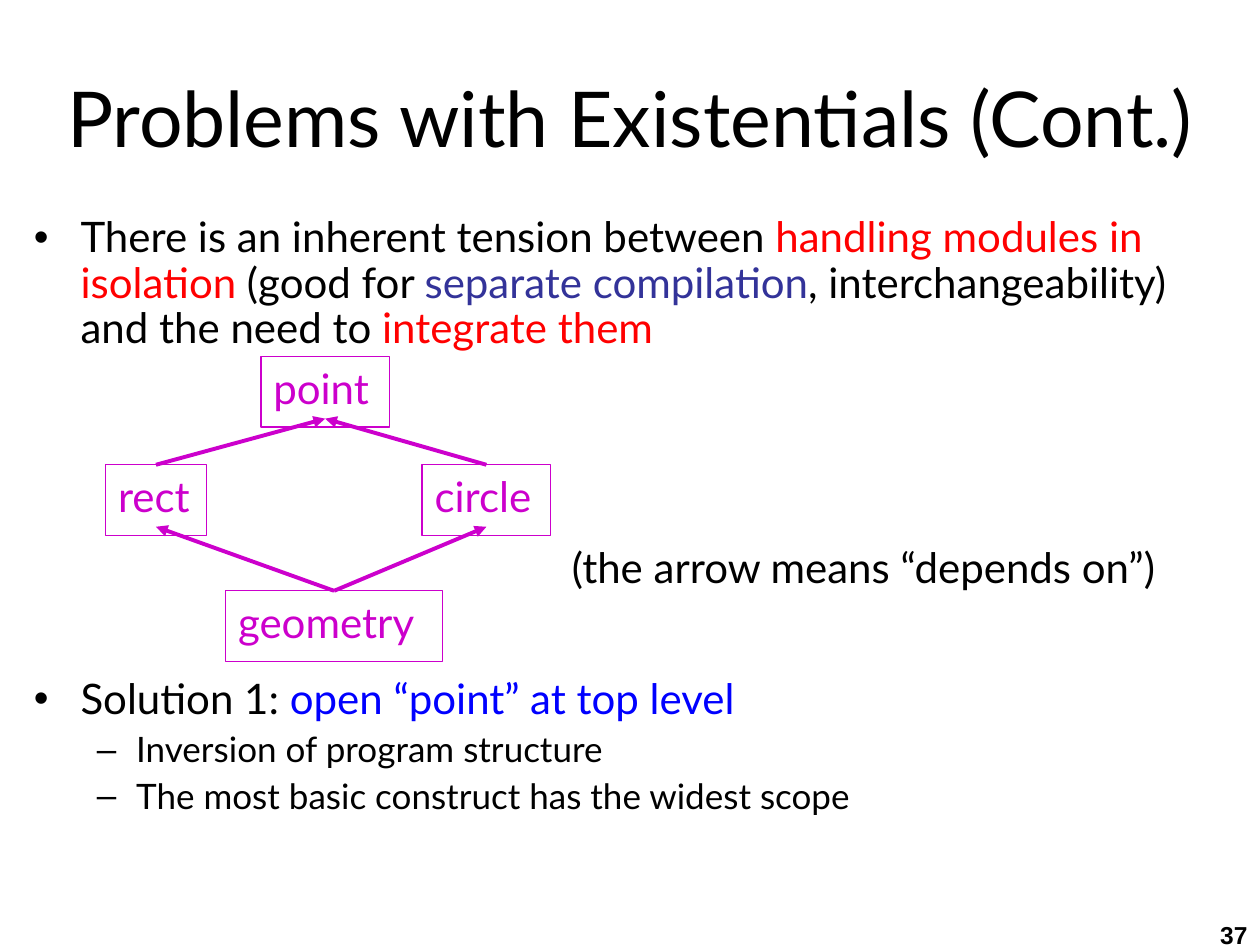
from lxml import etree
from pptx import Presentation
from pptx.dml.color import RGBColor
from pptx.enum.shapes import MSO_CONNECTOR, MSO_SHAPE
from pptx.enum.text import MSO_ANCHOR, MSO_AUTO_SIZE, PP_ALIGN
from pptx.oxml.ns import qn
from pptx.util import Cm, Pt

LINE, RECT = MSO_CONNECTOR.STRAIGHT, MSO_SHAPE.RECTANGLE
TOP, MIDDLE = MSO_ANCHOR.TOP, MSO_ANCHOR.MIDDLE
LEFT, CENTER, RIGHT = PP_ALIGN.LEFT, PP_ALIGN.CENTER, PP_ALIGN.RIGHT
FIXED = MSO_AUTO_SIZE.NONE

BLACK = RGBColor(0x00, 0x00, 0x00)
RED = RGBColor(0xFF, 0x00, 0x00)
BLUE = RGBColor(0x00, 0x00, 0xFF)
INDIGO = RGBColor(0x33, 0x33, 0x99)
PURPLE = RGBColor(0xCC, 0x00, 0xCC)


def write(para, text, size=24, color=BLACK, font="Lato", bold=False):
    """Add one formatted run to a paragraph."""
    run = para.add_run()
    run.text = text
    run.font.size = Pt(size)
    run.font.name = font
    run.font.bold = bold
    run.font.color.rgb = color


class Page:
    """Holds the style and the current slide."""

    ink = PURPLE
    thin, thick = Pt(0.75), Pt(2.25)
    tall = 1.42   # height of a one-line box
    tip = 1.25    # depth at which an arrow ends in its box
    # Per level: text size, left margin, hanging indent, space before
    levels = [(24, 0.94, -0.94, 6), (20, 2.06, -0.79, 5)]

    def __init__(self, deck):
        self.slide = deck.slides.add_slide(deck.slide_layouts[1])
        self.shapes = self.slide.shapes

    def place(self, shape, x, y, w, h):
        shape.left, shape.top = Cm(x), Cm(y)
        shape.width, shape.height = Cm(w), Cm(h)

    def frame(self, shape, anchor=TOP):
        frame = shape.text_frame
        frame.word_wrap = True
        frame.auto_size = FIXED
        frame.vertical_anchor = anchor
        return frame

    def title(self, text, *area):
        shape = self.shapes.title
        self.place(shape, *area)
        para = self.frame(shape, MIDDLE).paragraphs[0]
        para.alignment = CENTER
        write(para, text, size=44)

    def body(self, items, *area):
        shape = self.slide.placeholders[1]
        self.place(shape, *area)
        frame = self.frame(shape)
        for i, (level, gap, runs) in enumerate(items):
            para = frame.add_paragraph() if i else frame.paragraphs[0]
            size, margin, indent, before = self.levels[level]
            para.level = level
            para.line_spacing = 0.9
            para.space_before = Pt(before + gap)
            props = para._p.get_or_add_pPr()
            props.set("marL", str(Cm(margin)))
            props.set("indent", str(Cm(indent)))
            for text, color in runs:
                write(para, text, size=size, color=color)

    def label(self, text, x, y, w, h=tall, align=LEFT, **style):
        shape = self.shapes.add_textbox(Cm(x), Cm(y), Cm(w), Cm(h))
        para = self.frame(shape).paragraphs[0]
        para.alignment = align
        write(para, text, **style)

    def box(self, text, x, y, w):
        shape = self.shapes.add_shape(RECT, Cm(x), Cm(y), Cm(w), Cm(self.tall))
        shape.shadow.inherit = False
        shape.fill.background()
        shape.line.color.rgb = self.ink
        shape.line.width = self.thin
        para = self.frame(shape).paragraphs[0]
        para.alignment = LEFT
        write(para, text, color=self.ink)
        return shape

    def arrow(self, start, end):
        """Link the top of one box to the foot of another."""
        link = self.shapes.add_connector(
            LINE, start.left + start.width // 2, start.top,
            end.left + end.width // 2, end.top + Cm(self.tip))
        link.line.color.rgb = self.ink
        link.line.width = self.thick
        head = etree.SubElement(link.line._get_or_add_ln(), qn("a:tailEnd"))
        head.set("type", "triangle")
        etree.SubElement(link._element.spPr, qn("a:effectLst"))


deck = Presentation()
deck.slide_width, deck.slide_height = Cm(25.4), Cm(19.05)
page = Page(deck)

# Title and list; the second bullet leaves room for the graph
page.title("Problems with Existentials (Cont.)", 0.43, 0.1, 24.56, 4.5)
page.body([
    (0, 0, [("There is an inherent tension between ", BLACK),
            ("handling modules in isolation", RED),
            (" (good for ", BLACK),
            ("separate compilation", INDIGO),
            (", interchangeability) and the need to ", BLACK),
            ("integrate them", RED)]),
    (0, 180, [("Solution 1: ", BLACK),
              ("open “point” at top level", BLUE)]),
    (1, 0, [("Inversion of program structure", BLACK)]),
    (1, 0, [("The most basic construct has the widest scope", BLACK)]),
], 0.43, 4.24, 24.56, 14.68)

# Module graph
places = {
    "point": (5.26, 7.19, 2.59),
    "rect": (2.13, 9.37, 2.03),
    "circle": (8.51, 9.37, 2.59),
    "geometry": (4.55, 11.91, 4.37),
}
boxes = {name: page.box(name, *spot) for name, spot in places.items()}
for start, end in [("rect", "point"), ("circle", "point"),
                   ("geometry", "rect"), ("geometry", "circle")]:
    page.arrow(boxes[start], boxes[end])
page.label("(the arrow means “depends on”)", 11.28, 10.8, 13.31)

# Page number
page.label("37", 19.89, 18.42, 5.51, 0.86, align=RIGHT,
           size=14, font="Arial", bold=True)

deck.save("out.pptx")
